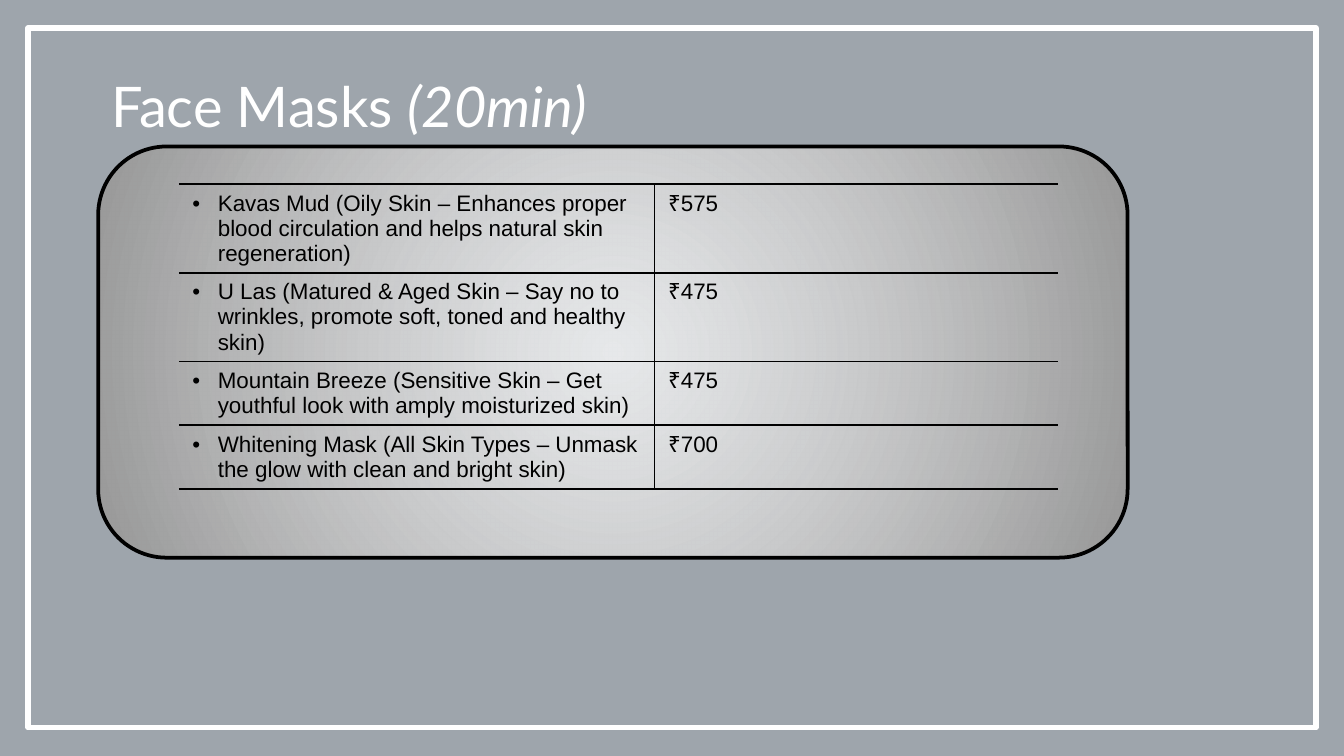
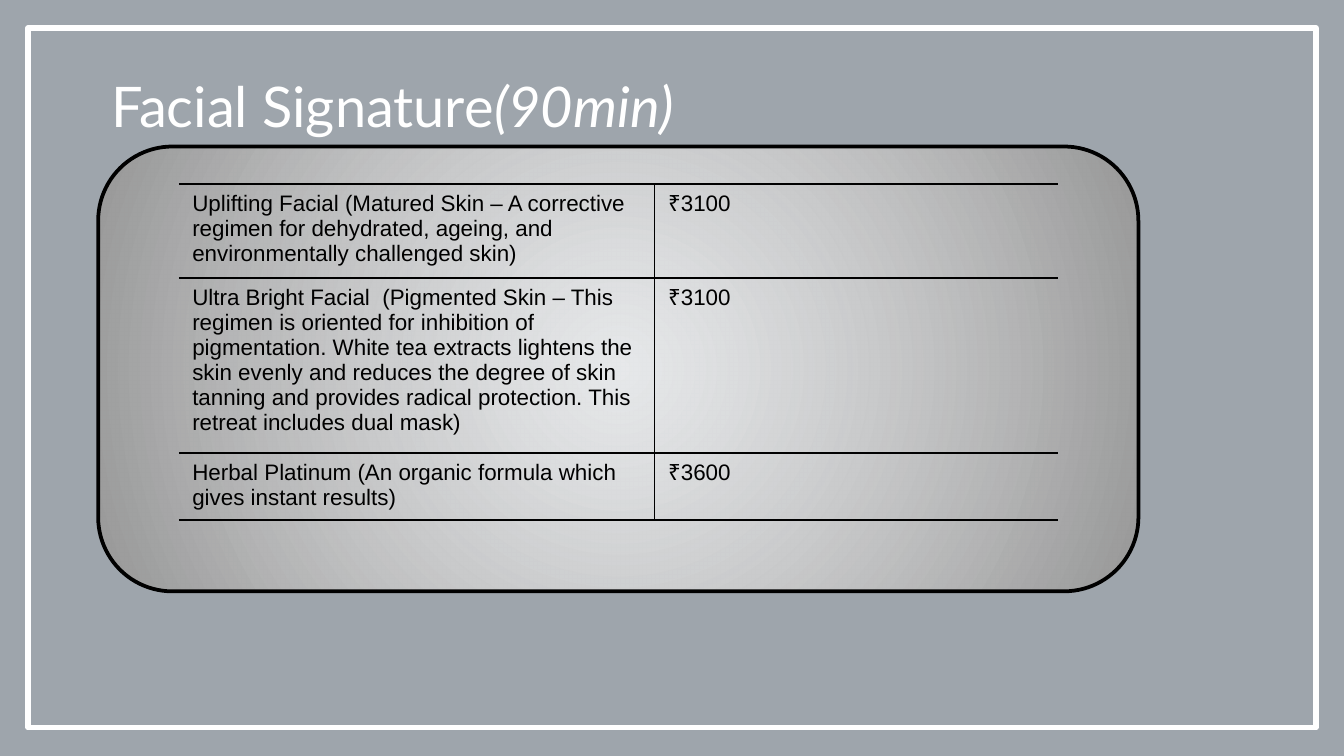
from dataclasses import dataclass

from lxml import etree
from pptx import Presentation
from pptx import util as u
from pptx.dml import color
from pptx.enum import shapes, text
from pptx.oxml import ns

PAGE_WIDTH, PAGE_HEIGHT = 720, 405
FRAME_INSET = 15.1
PANEL_LEFT, PANEL_TOP = 52.6, 78.5
TITLE_TOP, TITLE_HEIGHT = 34.6, 43.9
TABLE_LEFT, TABLE_TOP = 95.8, 98.6
COLUMN_WIDTHS = (254.9, 216)
MIN_ROW_HEIGHT = 14.4
BULLET_INDENT = 13.7
NAVY, WHITE, BLACK, GREY = "021526", "FFFFFF", "000000", "979797"
TITLE_FONT, BODY_FONT = "Lato", "Arial"


@dataclass
class Treatment:
    description: str
    price: str


@dataclass
class Menu:
    title: str
    duration: str
    title_width: float
    panel_width: float
    panel_height: float
    table_height: float
    bulleted: bool
    treatments: list[Treatment]


MENUS = [
    Menu("Face Masks ", "(20min)", 304.6, 551.5, 220.3, 172.8, True, [
        Treatment("Kavas Mud (Oily Skin – Enhances proper blood circulation "
                  "and helps natural skin regeneration)", "₹575"),
        Treatment("U Las (Matured & Aged Skin – Say no to wrinkles, promote "
                  "soft, toned and healthy skin)", "₹475"),
        Treatment("Mountain Breeze (Sensitive Skin – Get youthful look with "
                  "amply moisturized skin)", "₹475"),
        Treatment("Whitening Mask (All Skin Types – Unmask the glow with "
                  "clean and bright skin)", "₹700"),
    ]),
    Menu("Facial Signature", "(90min)", 349.2, 557.3, 238.3, 180, False, [
        Treatment("Uplifting Facial (Matured Skin – A corrective regimen for "
                  "dehydrated, ageing, and environmentally challenged skin)",
                  "₹3100"),
        Treatment("Ultra Bright Facial  (Pigmented Skin – This regimen is "
                  "oriented for inhibition of pigmentation. White tea extracts "
                  "lightens the skin evenly and reduces the degree of skin "
                  "tanning and provides radical protection. This retreat "
                  "includes dual mask)", "₹3100"),
        Treatment("Herbal Platinum (An organic formula which gives instant "
                  "results)", "₹3600"),
    ]),
]


def rgb(value: str) -> color.RGBColor:
    return color.RGBColor.from_string(value)


def add_child(parent, tag: str, **attributes: str):
    child = etree.SubElement(parent, ns.qn(tag))
    for name, value in attributes.items():
        child.set(name, value)
    return child


def add_panel(page, kind, left: float, top: float, width: float, height: float,
              line: str | None = None, line_width: float = 0):
    panel = page.shapes.add_shape(
        kind, u.Pt(left), u.Pt(top), u.Pt(width), u.Pt(height))
    panel.shadow.inherit = False
    panel.fill.background()
    if line:
        panel.line.color.rgb = rgb(line)
        panel.line.width = u.Pt(line_width)
    else:
        panel.line.fill.background()
    return panel


def fill_radial(panel) -> None:
    panel.fill.gradient()
    gradient = panel.fill._xPr.find(ns.qn("a:gradFill"))
    for child in list(gradient):
        gradient.remove(child)
    stops = add_child(gradient, "a:gsLst")
    center = add_child(stops, "a:gs", pos="0")
    add_child(add_child(center, "a:srgbClr", val=WHITE), "a:alpha", val="75000")
    add_child(add_child(stops, "a:gs", pos="100000"), "a:srgbClr", val=GREY)
    circle = add_child(gradient, "a:path", path="circle")
    add_child(circle, "a:fillToRect", l="50000", t="50000", r="50000", b="50000")


def add_span(para, content: str, font: str, size: float, ink: str,
             italic: bool | None = None) -> None:
    span = para.add_run()
    span.text = content
    span.font.name = font
    span.font.size = u.Pt(size)
    span.font.color.rgb = rgb(ink)
    span.font.italic = italic


def add_bullet(para) -> None:
    properties = para._p.get_or_add_pPr()
    properties.set("marL", str(u.Pt(BULLET_INDENT)))
    properties.set("indent", str(-u.Pt(BULLET_INDENT)))
    add_child(add_child(properties, "a:buClr"), "a:srgbClr", val=BLACK)
    add_child(properties, "a:buFont", typeface=BODY_FONT)
    add_child(properties, "a:buChar", char="•")


def style_cell(cell, outer_side: str) -> None:
    properties = cell._tc.get_or_add_tcPr()
    for side in ("L", "R", "T", "B"):
        border = add_child(properties, f"a:ln{side}", w=str(u.Pt(1)))
        if side == outer_side:
            add_child(border, "a:noFill")
        else:
            add_child(add_child(border, "a:solidFill"), "a:srgbClr", val=BLACK)
    cell.fill.background()


def add_price_table(page, menu: Menu) -> None:
    holder = page.shapes.add_table(
        len(menu.treatments), len(COLUMN_WIDTHS), u.Pt(TABLE_LEFT),
        u.Pt(TABLE_TOP), u.Pt(sum(COLUMN_WIDTHS)), u.Pt(menu.table_height))
    table = holder.table
    table.first_row = table.horz_banding = False
    for column, width in zip(table.columns, COLUMN_WIDTHS):
        column.width = u.Pt(width)
    for row, treatment in zip(table.rows, menu.treatments):
        row.height = u.Pt(MIN_ROW_HEIGHT)
        contents = (treatment.description, treatment.price)
        for cell, content, outer_side in zip(row.cells, contents, "LR"):
            style_cell(cell, outer_side)
            para = cell.text_frame.paragraphs[0]
            if menu.bulleted and outer_side == "L":
                add_bullet(para)
            add_span(para, content, BODY_FONT, 12, BLACK)
    holder.height = u.Pt(menu.table_height)


def add_title(page, menu: Menu) -> None:
    box = page.shapes.add_textbox(u.Pt(PANEL_LEFT), u.Pt(TITLE_TOP),
                                  u.Pt(menu.title_width), u.Pt(TITLE_HEIGHT))
    box.text_frame.word_wrap = True
    box.text_frame.auto_size = text.MSO_AUTO_SIZE.SHAPE_TO_FIT_TEXT
    para = box.text_frame.paragraphs[0]
    add_span(para, menu.title, TITLE_FONT, 30, WHITE)
    add_span(para, menu.duration, TITLE_FONT, 30, WHITE, italic=True)


def add_backdrop(page) -> None:
    rectangle = shapes.MSO_SHAPE.RECTANGLE
    tint = add_panel(page, rectangle, 0, 0, PAGE_WIDTH, PAGE_HEIGHT)
    tint.fill.solid()
    tint.fill.fore_color.rgb = rgb(NAVY)
    ink = tint.fill._xPr.find(ns.qn("a:solidFill")).find(ns.qn("a:srgbClr"))
    add_child(ink, "a:alpha", val="38000")
    add_panel(page, rectangle, FRAME_INSET, FRAME_INSET,
              PAGE_WIDTH - 2 * FRAME_INSET, PAGE_HEIGHT - 2 * FRAME_INSET,
              WHITE, 3)


def add_menu_page(deck, menu: Menu) -> None:
    page = deck.slides.add_slide(deck.slide_layouts[6])
    page.background.fill.solid()
    page.background.fill.fore_color.rgb = rgb(WHITE)
    add_backdrop(page)
    card = add_panel(page, shapes.MSO_SHAPE.ROUNDED_RECTANGLE, PANEL_LEFT,
                     PANEL_TOP, menu.panel_width, menu.panel_height, BLACK, 2)
    fill_radial(card)
    add_price_table(page, menu)
    add_title(page, menu)


def main() -> None:
    deck = Presentation()
    deck.slide_width = u.Pt(PAGE_WIDTH)
    deck.slide_height = u.Pt(PAGE_HEIGHT)
    for menu in MENUS:
        add_menu_page(deck, menu)
    deck.save("out.pptx")


if __name__ == "__main__":
    main()
